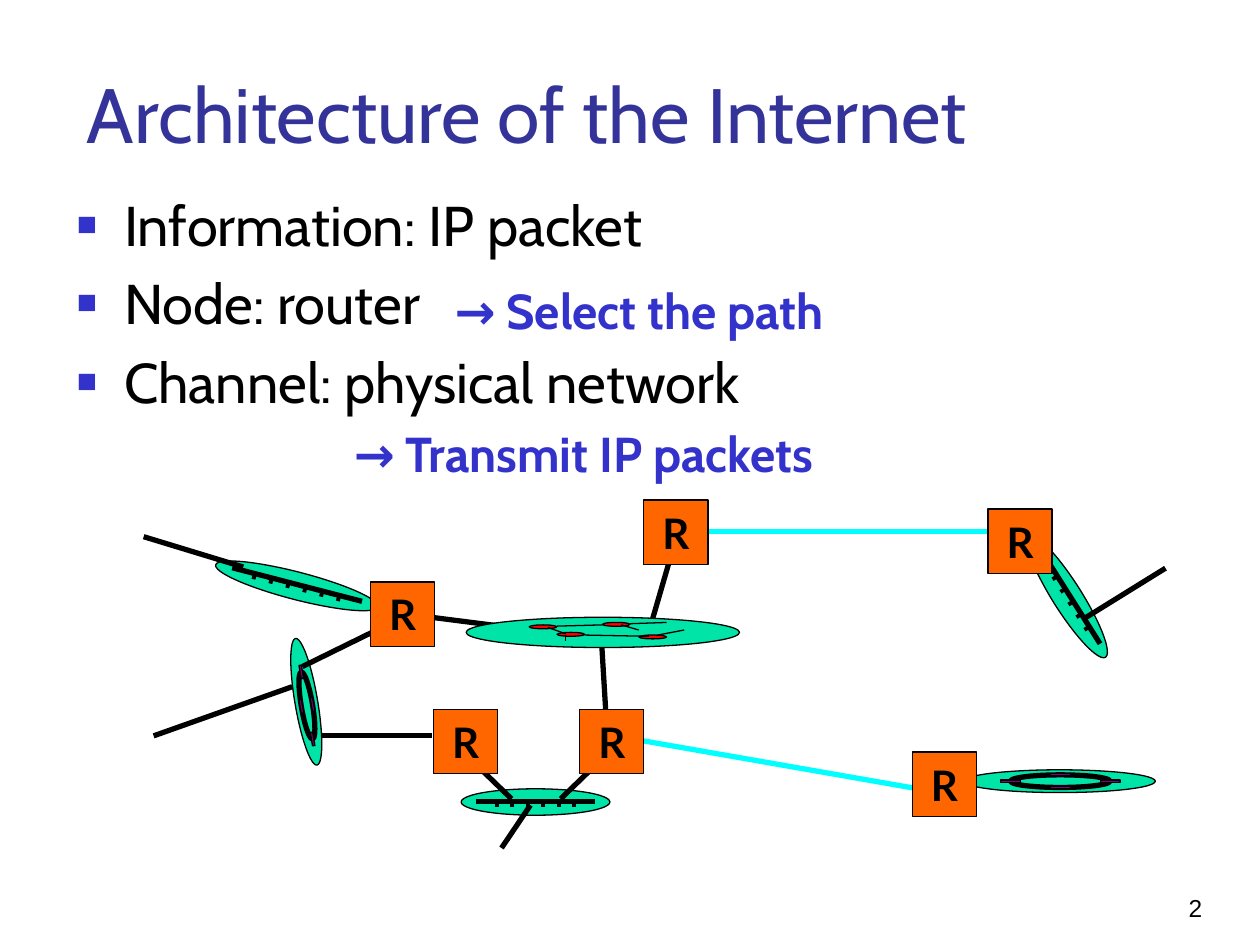
from math import cos, sin, radians
from lxml.etree import SubElement
from pptx import Presentation
from pptx.dml.color import RGBColor
from pptx.enum.shapes import MSO_CONNECTOR, MSO_SHAPE
from pptx.enum.text import MSO_ANCHOR, MSO_AUTO_SIZE, PP_ALIGN
from pptx.oxml.ns import qn
from pptx.util import Pt

BLACK = RGBColor(0, 0, 0)
NAVY = RGBColor(0x33, 0x33, 0x99)
BLUE = RGBColor(0x33, 0x33, 0xCC)
GREEN = RGBColor(0, 0xE4, 0xA8)
CYAN = RGBColor(0, 0xFF, 0xFF)
ORANGE = RGBColor(0xFF, 0x66, 0)
PURPLE = RGBColor(0x80, 0, 0x80)
RED = RGBColor(0xFF, 0, 0)

TITLE = "Architecture of the Internet"
BULLETS = ["Information: IP packet", "Node: router", "Channel: physical network"]
NOTES = [
    ("→ Select the path", (252.7, 157, 265, 41)),
    ("→ Transmit IP packets", (195.1, 238.3, 335.5, 41)),
]
NUMBER = "2"

HEAD = {"name": "Cabin", "size": Pt(44)}
BODY = {"name": "Cabin", "size": Pt(32)}
NOTE = {"name": "Cabin", "size": Pt(28), "bold": True}
LABEL = {"name": "Lato", "size": Pt(24), "bold": True}
PAGE = {"name": "Arial", "size": Pt(14)}

SIDE = 36.7
ROUTERS = [(211.7, 332.6), (331.2, 405.4), (247.7, 405.4),
           (367.9, 285.8), (564.5, 290.9), (521.3, 429.8)]
# centre, length, height, angle, inner length, inner height, inner shift
RINGS = [((175, 401), 73.4, 13, 80.4, 38.9, 6.5, 2.2),
         ((605.5, 446.4), 109.4, 13, 0, 56.9, 7.2, 0.4)]
# centre, length, height, angle, lift of the bar, first tick
BUSES = [((306, 458.3), 85, 15.1, 0, 0.4, 0),
         ((609.8, 340.9), 82.1, 16.6, 57.7, 1.5, 1),
         ((169.6, 334.8), 95.8, 15.8, 14.5, 0.8, 0)]
LINKS = [
    ((343.4, 360.7), (347, 420.5), BLACK),
    ((367.9, 423.4), (524.2, 450.7), CYAN),
    ((403.9, 303.8), (576, 303.8), CYAN),
    ((87.8, 420.5), (167, 392.4), BLACK),
    ((247, 352.8), (292.3, 358.6), BLACK),
    ((383, 319), (371.5, 358.6), BLACK),
    ((218.2, 358.6), (172.8, 380.9), BLACK),
    ((247, 420.5), (184.3, 420.5), BLACK),
    ((269.3, 434.2), (292.3, 456.5), BLACK),
    ((343.4, 434.2), (320.4, 456.5), BLACK),
    ((303.1, 460.1), (286.6, 484.6), BLACK),
    ((82.1, 306.7), (139, 324), BLACK),
    ((666, 324.7), (620.6, 352.8), BLACK),
]
CLOUD = ((344.5, 361.4), 156.2, 17.3)
NODES = [(310.3, 358.2), (326.2, 362.5), (352.1, 356.8), (373, 364)]
WIRES = [((318.2, 357.8), (344.2, 357.1)), ((313.2, 358.6), (323.3, 362.2)),
         ((360, 356.4), (380.9, 355.7)), ((334.1, 362.9), (370.8, 363.6)),
         ((323.3, 362.9), (323.3, 366.5)), ((375.8, 362.9), (391, 360)),
         ((355, 357.1), (365, 360))]

deck = Presentation()
deck.slide_width, deck.slide_height = Pt(720), Pt(540)
slide = deck.slides.add_slide(deck.slide_layouts[1])
shapes = slide.shapes


def write(par, text, style, color):
    run = par.add_run()
    run.text = text
    for key, value in style.items():
        setattr(run.font, key, value)
    run.font.color.rgb = color


def place(shape, box):
    for key, value in zip(("left", "top", "width", "height"), box):
        setattr(shape, key, Pt(value))


def setup(frame, anchor, wrap=True):
    frame.auto_size = MSO_AUTO_SIZE.NONE
    frame.vertical_anchor = anchor
    frame.word_wrap = wrap
    return frame.paragraphs[0]


def draw(kind, mid, width, height, fill, angle=0, weight=0.75):
    """Add a preset shape centred on mid."""
    x, y = mid
    shape = shapes.add_shape(kind, Pt(x - width / 2), Pt(y - height / 2),
                             Pt(width), Pt(height))
    shape.rotation = angle
    shape.shadow.inherit = False
    shape.fill.solid()
    shape.fill.fore_color.rgb = fill
    shape.line.color.rgb = BLACK
    shape.line.width = Pt(weight)
    return shape


def join(start, end, color=BLACK, weight=3):
    ends = [Pt(v) for v in (*start, *end)]
    line = shapes.add_connector(MSO_CONNECTOR.STRAIGHT, *ends)
    line.line.color.rgb = color
    line.line.width = Pt(weight)
    SubElement(line._element.spPr, qn("a:effectLst"))


def turn(mid, angle, along, across=0):
    """Find a point given along and across a tilted axis through mid."""
    c, s = cos(radians(angle)), sin(radians(angle))
    return mid[0] + along * c - across * s, mid[1] + along * s + across * c


def add_ring(mid, length, height, angle, inner, depth, shift):
    draw(MSO_SHAPE.OVAL, mid, length, height, GREEN, angle)
    core = turn(mid, angle, shift)
    draw(MSO_SHAPE.OVAL, core, inner, depth, GREEN, angle, 3)
    for along, across in ((-1, 0), (0, 1), (0, -1), (1, 0)):
        spot = turn(core, angle, along * inner / 2, across * depth / 2)
        draw(MSO_SHAPE.RECTANGLE, spot, inner / 5, 1.4, PURPLE, angle)


def add_bus(mid, length, height, angle, lift, first):
    draw(MSO_SHAPE.OVAL, mid, length, height, GREEN, angle)
    half = 0.4 * length
    join(turn(mid, angle, -half, -lift), turn(mid, angle, half, -lift))
    for i in range(first, 6):
        along = (i - 2.5) * 0.104 * length
        join(turn(mid, angle, along, -lift),
             turn(mid, angle, along, 3.3 - lift), weight=2.25)


title, body = shapes.title, slide.placeholders[1]
place(title, (42.5, 34.6, 620.6, 104.4))
par = setup(title.text_frame, MSO_ANCHOR.TOP)
par.alignment = PP_ALIGN.LEFT
write(par, TITLE, HEAD, NAVY)

place(body, (36.7, 105.1, 620.6, 342.7))
setup(body.text_frame, MSO_ANCHOR.TOP)
for i, text in enumerate(BULLETS):
    par = body.text_frame.add_paragraph() if i else body.text_frame.paragraphs[0]
    props = par._p.get_or_add_pPr()
    props.set("marL", str(Pt(27)))
    props.set("indent", str(-Pt(27)))
    SubElement(SubElement(props, qn("a:buClr")), qn("a:srgbClr"), val=str(BLUE))
    SubElement(props, qn("a:buSzPct"), val="60000")
    SubElement(props, qn("a:buChar"), char="■")
    par.space_before = Pt(6.4 if i else 0)
    write(par, text, BODY, BLACK)

for text, box in NOTES:
    note = shapes.add_textbox(*map(Pt, box))
    write(setup(note.text_frame, MSO_ANCHOR.TOP, False), text, NOTE, BLUE)

page = shapes.add_textbox(Pt(526.3), Pt(496.8), Pt(167.8), Pt(33.8))
par = setup(page.text_frame, MSO_ANCHOR.BOTTOM)
par.alignment = PP_ALIGN.RIGHT
write(par, NUMBER, PAGE, BLACK)

for ring in RINGS:
    add_ring(*ring)
for bus in BUSES:
    add_bus(*bus)
for link in LINKS:
    join(*link)
for x, y in ROUTERS:
    box = draw(MSO_SHAPE.RECTANGLE, (x + SIDE / 2, y + SIDE / 2), SIDE, SIDE, ORANGE)
    par = setup(box.text_frame, MSO_ANCHOR.MIDDLE, False)
    par.alignment = PP_ALIGN.CENTER
    write(par, "R", LABEL, BLACK)

draw(MSO_SHAPE.OVAL, *CLOUD, GREEN)
for node in NODES:
    draw(MSO_SHAPE.OVAL, node, 15.8, 2.2, RED)
for start, end in WIRES:
    join(start, end, weight=0.75)

deck.save("out.pptx")
